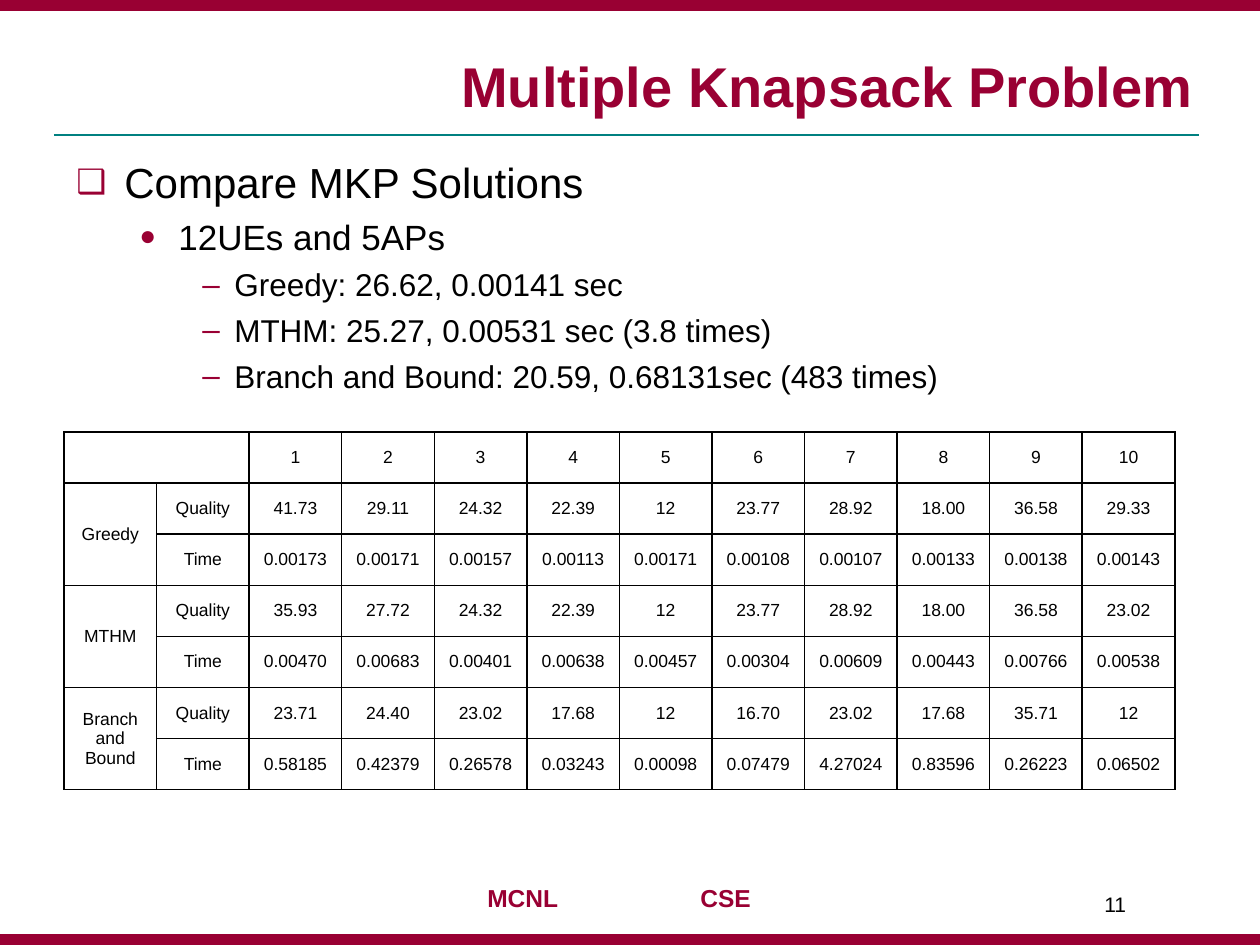
import pptx
import pptx.util
import pptx.dml.color
import pptx.enum.shapes
import pptx.enum.text
import pptx.oxml
import pptx.oxml.ns
import lxml.etree

RGB = pptx.dml.color.RGBColor
ALIGN = pptx.enum.text.PP_ALIGN
ANCHOR = pptx.enum.text.MSO_ANCHOR
WINE = RGB(0x99, 0x00, 0x33)
TEAL = RGB(0x00, 0x80, 0x80)
BLACK = RGB(0, 0, 0)
SCALE = 914400 / 126

# left indent, hanging indent, text size, space before, bullet, bullet percent
LEVELS = [
    (48, 48, 24, 0, "❑", 80),
    (102, 39, 20, 5, "●", 80),
    (158, 32, 18, 4.5, "‒", 100),
]
POINTS = [
    (0, "Compare MKP Solutions"),
    (1, "12UEs and 5APs"),
    (2, "Greedy: 26.62, 0.00141 sec"),
    (2, "MTHM: 25.27, 0.00531 sec (3.8 times)"),
    (2, "Branch and Bound: 20.59, 0.68131sec (483 times)"),
]
RESULTS = [
    ("Greedy",
     "41.73 29.11 24.32 22.39 12 23.77 28.92 18.00 36.58 29.33",
     "0.00173 0.00171 0.00157 0.00113 0.00171 0.00108 0.00107 0.00133 0.00138 0.00143"),
    ("MTHM",
     "35.93 27.72 24.32 22.39 12 23.77 28.92 18.00 36.58 23.02",
     "0.00470 0.00683 0.00401 0.00638 0.00457 0.00304 0.00609 0.00443 0.00766 0.00538"),
    ("Branch and Bound",
     "23.71 24.40 23.02 17.68 12 16.70 23.02 17.68 35.71 12",
     "0.58185 0.42379 0.26578 0.03243 0.00098 0.07479 4.27024 0.83596 0.26223 0.06502"),
]


def px(*sizes):
    return [pptx.util.Emu(round(size * SCALE)) for size in sizes]


def add_xml(parent, tag, **attrs):
    node = lxml.etree.SubElement(parent, pptx.oxml.ns.qn(tag))
    for name, value in attrs.items():
        node.set(name, str(value))
    return node


class Page:
    """Holds the text style and the slide being filled."""

    def __init__(self, slide, face="Arial"):
        self.slide = slide
        self.shapes = slide.shapes
        self.face = face

    def format(self, para, size, color=BLACK, bold=False, align=ALIGN.LEFT):
        para.alignment = align
        for run in para.runs:
            run.font.name = self.face
            run.font.size = pptx.util.Pt(size)
            run.font.bold = bold
            run.font.color.rgb = color

    def title(self, text, *box):
        shape = self.shapes.title
        shape.left, shape.top, shape.width, shape.height = px(*box)
        frame = shape.text_frame
        frame.text = text
        frame.vertical_anchor = ANCHOR.BOTTOM
        self.format(frame.paragraphs[0], 32, WINE, True, ALIGN.RIGHT)

    def bar(self, *box):
        shape = self.shapes.add_shape(
            pptx.enum.shapes.MSO_SHAPE.RECTANGLE, *px(*box))
        shape.shadow.inherit = False
        shape.fill.solid()
        shape.fill.fore_color.rgb = WINE
        shape.line.color.rgb = WINE
        shape.line.width = pptx.util.Pt(0.75)

    def rule(self, *ends):
        line = self.shapes.add_connector(
            pptx.enum.shapes.MSO_CONNECTOR.STRAIGHT, *px(*ends))
        line.line.color.rgb = TEAL
        line.line.width = pptx.util.Pt(1)
        add_xml(line._element.spPr, "a:effectLst")

    def text(self, text, box, size, color=BLACK, bold=False, tab=None):
        frame = self.shapes.add_textbox(*px(*box)).text_frame
        frame.word_wrap = True
        para = frame.paragraphs[0]
        para.text = text
        if tab:
            tabs = add_xml(para._p.get_or_add_pPr(), "a:tabLst")
            add_xml(tabs, "a:tab", pos=px(tab)[0], algn="l")
        self.format(para, size, color, bold)

    def list(self, points, *box):
        frame = self.shapes.add_textbox(*px(*box)).text_frame
        frame.word_wrap = True
        frame.text = "\n".join(text for level, text in points)
        for para, (level, text) in zip(frame.paragraphs, points):
            left, hang, size, gap, mark, share = LEVELS[level]
            para.level = level
            props = para._p.get_or_add_pPr()
            props.set("marL", str(px(left)[0]))
            props.set("indent", str(-px(hang)[0]))
            add_xml(add_xml(props, "a:buClr"), "a:srgbClr", val=WINE)
            add_xml(props, "a:buSzPct", val=share * 1000)
            add_xml(props, "a:buFont", typeface=self.face)
            add_xml(props, "a:buChar", char=mark)
            if gap:
                para.space_before = pptx.util.Pt(gap)
            self.format(para, size)

    def border(self, cell):
        props = cell._tc.get_or_add_tcPr()
        for side in "LRTB":
            line = add_xml(props, "a:ln" + side, w=pptx.util.Pt(1))
            add_xml(add_xml(line, "a:solidFill"), "a:srgbClr", val=BLACK)

    def table(self, rows, *box):
        grid = self.shapes.add_table(len(rows), len(rows[0]), *px(*box)).table
        grid.first_row = grid.horz_banding = False
        for r, row in enumerate(rows):
            for c, text in enumerate(row):
                cell = grid.cell(r, c)
                cell.text = text
                cell.vertical_anchor = ANCHOR.MIDDLE
                self.border(cell)
                cell.fill.background()
                self.format(cell.text_frame.paragraphs[0], 10,
                            align=ALIGN.CENTER)
        return grid


def main():
    deck = pptx.Presentation()
    deck.slide_width, deck.slide_height = px(1260, 945)
    page = Page(deck.slides.add_slide(deck.slide_layouts[5]))

    page.rule(54, 135, 1199, 135)
    for top in (935, 0):
        page.bar(0, top, 1260, 10)
    page.text("MCNL\tCSE", (475, 877, 291, 43), 14, WINE, True, tab=213)
    page.title("Multiple Knapsack Problem", 63, 32, 1143, 93)
    page.text("11", (1092, 885, 105, 50), 12)
    page.list(POINTS, 64, 150, 1134, 260)

    rows = [["", ""] + [str(n) for n in range(1, 11)]]
    for name, quality, time in RESULTS:
        rows.append([name, "Quality"] + quality.split())
        rows.append(["", "Time"] + time.split())
    grid = page.table(rows, 64, 432, 1111, 358)
    grid.cell(0, 0).merge(grid.cell(0, 1))
    for r in range(1, len(rows), 2):
        grid.cell(r, 0).merge(grid.cell(r + 1, 0))

    deck.save("out.pptx")


if __name__ == "__main__":
    main()
